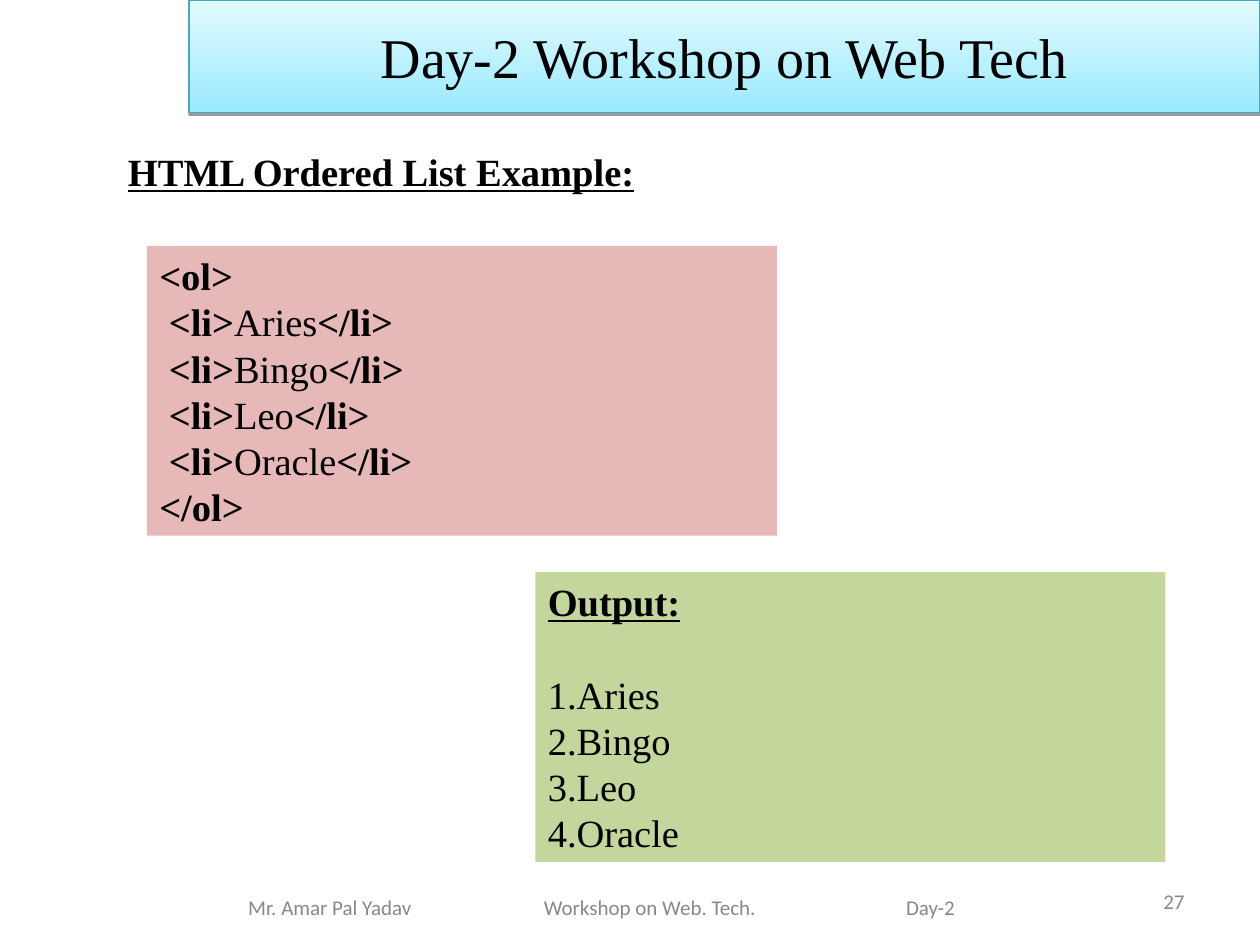
from lxml.etree import SubElement
from pptx import Presentation
from pptx.dml.color import RGBColor
from pptx.enum.shapes import MSO_SHAPE as Shape
from pptx.enum.text import MSO_ANCHOR as Anchor, PP_ALIGN as Align
from pptx.oxml.ns import qn
from pptx.util import Pt

COLORS = {
    "text": "000000",
    "muted": "888888",
    "title_bottom": "9BE9FF",
    "title_top": "E2FBFF",
    "title_line": "45A9C4",
    "code": "E6B9B8",
    "output": "C3D69B",
}
BODY = {"name": "Times New Roman", "size": Pt(22)}
BOLD = {**BODY, "bold": True}
HEADING = {**BOLD, "underline": True}
TITLE = {"name": "Times New Roman", "size": Pt(32)}
FOOTER = {"name": "Calibri", "size": Pt(12)}
LINE_PITCH = Pt(26.4)
SIGNS = ["Aries", "Bingo", "Leo", "Oracle"]


def color(name):
    return RGBColor.from_string(COLORS[name])


def add_run(paragraph, text, style, color_name="text"):
    run = paragraph.add_run()
    run.text = text
    for name, value in style.items():
        setattr(run.font, name, value)
    run.font.color.rgb = color(color_name)


def add_box(slide, box, anchor=Anchor.TOP, fill=None):
    shape = slide.shapes.add_textbox(*map(Pt, box))
    frame = shape.text_frame
    frame.word_wrap = True
    frame.vertical_anchor = anchor
    if fill:
        shape.fill.solid()
        shape.fill.fore_color.rgb = color(fill)
    return frame


def add_line(frame, index):
    paragraph = frame.add_paragraph() if index else frame.paragraphs[0]
    paragraph.line_spacing = LINE_PITCH
    return paragraph


def add_shadow(shape):
    shape.shadow.inherit = False
    effects = shape._element.spPr.find(qn("a:effectLst"))
    shadow = SubElement(effects, qn("a:outerShdw"), blurRad="0",
                        dist=str(Pt(1.6)), dir="5400000", rotWithShape="0")
    shade = SubElement(shadow, qn("a:srgbClr"), val=COLORS["text"])
    SubElement(shade, qn("a:alpha"), val="38000")


def add_title(slide, box, text):
    banner = slide.shapes.add_shape(Shape.RECTANGLE, *map(Pt, box))
    banner.fill.gradient()
    banner.fill.gradient_angle = 90
    for stop, name in zip(banner.fill.gradient_stops, ("title_bottom", "title_top")):
        stop.color.rgb = color(name)
    banner.line.color.rgb = color("title_line")
    banner.line.width = Pt(0.75)
    add_shadow(banner)
    banner.text_frame.vertical_anchor = Anchor.MIDDLE
    paragraph = banner.text_frame.paragraphs[0]
    paragraph.alignment = Align.CENTER
    add_run(paragraph, text, TITLE)


def add_heading(slide, box, text):
    add_run(add_line(add_box(slide, box), 0), text, HEADING)


def add_code(slide, box, items):
    frame = add_box(slide, box, fill="code")
    rows = [[("<ol>", BOLD)]]
    rows += [[(" ", BODY), ("<li>", BOLD), (item, BODY), ("</li>", BOLD)] for item in items]
    rows += [[("</ol>", BOLD)]]
    for index, row in enumerate(rows):
        paragraph = add_line(frame, index)
        for text, style in row:
            add_run(paragraph, text, style)


def add_output(slide, box, items):
    frame = add_box(slide, box, fill="output")
    add_run(add_line(frame, 0), "Output:", HEADING)
    for index, item in enumerate(items, 1):
        paragraph = add_line(frame, index)
        if index == 1:
            paragraph.space_before = LINE_PITCH
        properties = paragraph._p.get_or_add_pPr()
        SubElement(properties, qn("a:buFont"), typeface=BODY["name"])
        SubElement(properties, qn("a:buAutoNum"), type="arabicPeriod")
        add_run(paragraph, item, BODY)


def add_footer(slide, box, parts, tabs):
    frame = add_box(slide, box, Anchor.MIDDLE)
    frame.margin_left = Pt(41)
    paragraph = frame.paragraphs[0]
    tab_list = SubElement(paragraph._p.get_or_add_pPr(), qn("a:tabLst"))
    for position in tabs:
        SubElement(tab_list, qn("a:tab"), pos=str(Pt(position)), algn="l")
    add_run(paragraph, "\t".join(parts), FOOTER, "muted")


def add_slide_number(slide, box, number):
    paragraph = add_box(slide, box, Anchor.MIDDLE).paragraphs[0]
    paragraph.alignment = Align.RIGHT
    add_run(paragraph, number, FOOTER, "muted")


def main():
    presentation = Presentation()
    presentation.slide_width, presentation.slide_height = Pt(720), Pt(540)
    slide = presentation.slides.add_slide(presentation.slide_layouts[6])
    add_slide_number(slide, (516, 500.4, 168, 28.8), "27")
    add_title(slide, (108, 0, 612, 64.3), "Day-2 Workshop on Web Tech")
    add_footer(slide, (100.8, 504, 487.2, 28.8),
               ["Mr. Amar Pal Yadav", "Workshop on Web. Tech.", "Day-2"], (169, 376))
    add_heading(slide, (66, 81, 600, 33.6), "HTML Ordered List Example:")
    add_code(slide, (84, 140.6, 360, 165.6), SIGNS)
    add_output(slide, (306, 326.9, 360, 165.6), SIGNS)
    presentation.save("out.pptx")


if __name__ == "__main__":
    main()
